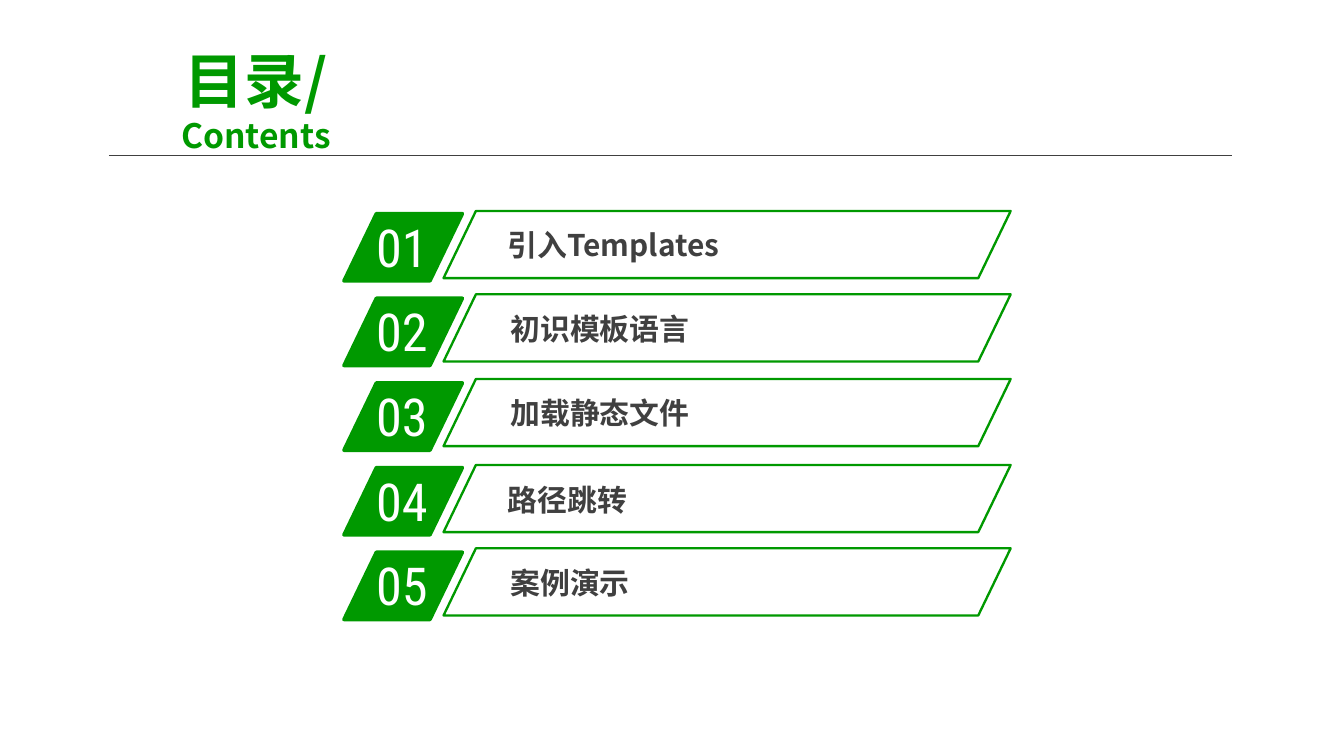
from dataclasses import dataclass

from lxml import etree
from pptx import Presentation
from pptx.dml.color import RGBColor
from pptx.enum.shapes import MSO_CONNECTOR, MSO_SHAPE
from pptx.enum.text import MSO_ANCHOR, MSO_AUTO_SIZE, PP_ALIGN
from pptx.oxml.ns import qn
from pptx.util import Inches, Pt

PARALLELOGRAM = MSO_SHAPE.PARALLELOGRAM
STRAIGHT = MSO_CONNECTOR.STRAIGHT
MIDDLE, CENTER = MSO_ANCHOR.MIDDLE, PP_ALIGN.CENTER
NO_FIT = MSO_AUTO_SIZE.NONE
GROW = MSO_AUTO_SIZE.SHAPE_TO_FIT_TEXT
TITLE_ONLY = 5


@dataclass(frozen=True)
class Theme:
    green: RGBColor = RGBColor(0x00, 0x99, 0x00)
    gray: RGBColor = RGBColor(0x40, 0x40, 0x40)
    white: RGBColor = RGBColor(0xFF, 0xFF, 0xFF)
    font: str = "Noto Sans CJK SC"
    number_font: str = "Roboto Condensed"
    title: int = 32
    subtitle: int = 18
    number: int = 28
    label: int = 16
    slant: float = 0.482


THEME = Theme()
# Label, frame rise and label indent in inches
ENTRIES = [
    ("引入Templates", 0, 0),
    ("初识模板语言", 0.01, 0.02),
    ("加载静态文件", 0.01, 0.02),
    ("路径跳转", 0, 0),
    ("案例演示", 0.01, 0.02),
]
ROW_PITCH = 0.63


def format_run(r, name, size, color, bold=False):
    r.font.name = name
    r.font.size = Pt(size)
    r.font.bold = bold
    r.font.color.rgb = color
    ea = etree.SubElement(r._r.get_or_add_rPr(), qn("a:ea"))
    ea.set("typeface", name)


def add_text(shapes, box, text, margins, **run_format):
    tb = shapes.add_textbox(*map(Inches, box))
    tf = tb.text_frame
    tf.word_wrap = True
    tf.auto_size = GROW
    tf.margin_left = tf.margin_right = Inches(margins[0])
    tf.margin_top = tf.margin_bottom = Inches(margins[1])
    tf.text = text
    format_run(tf.paragraphs[0].runs[0], **run_format)


def add_slanted_box(shapes, box, line_width, fill=None):
    sp = shapes.add_shape(PARALLELOGRAM, *map(Inches, box))
    sp.adjustments[0] = THEME.slant
    sp.shadow.inherit = False
    sp.line.color.rgb = THEME.green
    sp.line.width = Pt(line_width)
    if fill is None:
        sp.fill.background()
    else:
        sp.fill.solid()
        sp.fill.fore_color.rgb = fill


def add_header(s, x, y, w, h):
    """Place the two-line title and the rule below it."""
    title = s.shapes.title
    title.left, title.top, title.width, title.height = map(Inches, (x, y, w, h))
    tf = title.text_frame
    tf.auto_size = NO_FIT
    tf.vertical_anchor = MIDDLE
    p = tf.paragraphs[0]
    p.text = "目录/\vContents"
    p.alignment = CENTER
    for r, size in zip(p.runs, (THEME.title, THEME.subtitle)):
        format_run(r, THEME.font, size, THEME.green, bold=True)

    rule_y = Inches(y + 0.69)
    rule = s.shapes.add_connector(
        STRAIGHT, Inches(x + 0.14), rule_y, Inches(x + 8.5), rule_y)
    rule.line.color.rgb = THEME.gray
    rule.line.width = Pt(0.5)
    etree.SubElement(rule._element.spPr, qn("a:effectLst"))


def add_entry(s, x, y, number, label, rise, indent):
    """Place one contents row: a numbered badge and an outlined label."""
    badge = s.shapes.add_group_shape().shapes
    add_slanted_box(badge, (x, y + 0.02, 0.88, 0.5), 2, THEME.green)
    add_text(badge, (x + 0.14, y - 0.02, 0.84, 0.57), f"{number:02d}", (0.1, 0.05),
             name=THEME.number_font, size=THEME.number, color=THEME.white)

    frame = s.shapes.add_group_shape().shapes
    top = y - rise
    add_text(frame, (x + 1.15 + indent, top + 0.08, 3.37, 0.35), label, (0.07, 0.04),
             name=THEME.font, size=THEME.label, color=THEME.gray, bold=True)
    add_slanted_box(frame, (x + 0.74, top, 4.22, 0.5), 1.25)


def main():
    prs = Presentation()
    prs.slide_width = Inches(10)
    prs.slide_height = prs.slide_width * 9 // 16
    s = prs.slides.add_slide(prs.slide_layouts[TITLE_ONLY])
    add_header(s, 0.67, 0.47, 2.47, 0.54)
    for i, entry in enumerate(ENTRIES):
        add_entry(s, 2.56, 1.57 + i * ROW_PITCH, i + 1, *entry)
    prs.save("out.pptx")


if __name__ == "__main__":
    main()
